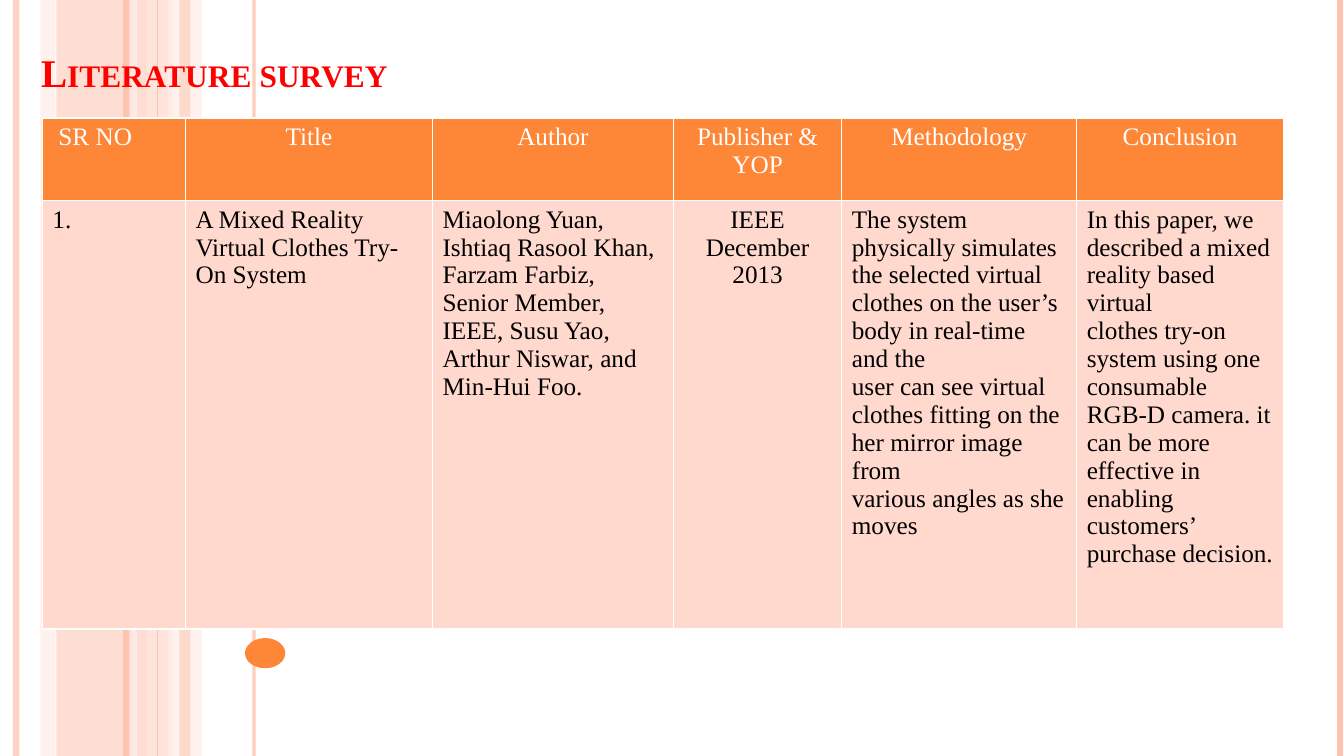
from pptx import Presentation, util as u
from pptx.dml.color import RGBColor
from pptx.enum import shapes, text
from pptx.oxml import parse_xml
from pptx.oxml.ns import nsdecls, qn
from pptx.oxml.xmlchemy import OxmlElement

COLORS = {"orange": "FE8637", "peach": "FEC3AE", "pale": "FFD9CE", "faint": "FFEDE8",
          "red": "FF0000", "white": "FFFFFF", "black": "000000"}
FONT = "Times New Roman"
PAGE_WIDTH, PAGE_HEIGHT = 13.33, 7.5

# left, width, colour, opacity in percent
BARS = [(0.56, 0.89, "peach", 54), (0.4, 0.15, "pale", 36), (1.44, 0.27, "pale", 70),
        (1.66, 0.34, "faint", 71)]
TOP_BAR = (1.78, 0.11, "peach", 51)
# x, line width, colour, opacity in percent
STRIPES = [(0.16, 4.5, "peach", 73), (1.33, 4.5, "faint", 83), (1.25, 4.5, "peach", 100),
           (2.52, 2.25, "peach", 82), (1.56, 0.75, "peach", 100), (13.29, 4.5, "peach", 100)]

COLUMN_WIDTHS = [1.42, 2.45, 2.39, 1.67, 2.33, 2.05]
ROW_HEIGHTS = [0.82, 4.25]
HEADERS = [["SR NO"], ["Title"], ["Author"], ["Publisher &", "YOP"], ["Methodology"],
           ["Conclusion"]]
SURVEY = [
    ["1."],
    ["A Mixed Reality Virtual Clothes Try-On System"],
    ["Miaolong Yuan, Ishtiaq Rasool Khan, Farzam Farbiz, Senior Member, IEEE, Susu Yao, "
     "Arthur Niswar, and", "Min-Hui Foo."],
    ["IEEE", "December 2013"],
    ["The system physically simulates",
     "the selected virtual clothes on the user’s body in real-time and the",
     "user can see virtual clothes fitting on the her mirror image from",
     "various angles as she moves"],
    ["In this paper, we described a mixed reality based virtual",
     "clothes try-on system using one consumable RGB-D camera. it can be more effective in "
     "enabling customers’", "purchase decision."],
]
PUBLISHER = 3


def rgb(name):
    return RGBColor.from_string(COLORS[name])


def set_opacity(shape, percent):
    if percent < 100:
        for color in shape.element.spPr.iter(qn("a:srgbClr")):
            alpha = OxmlElement("a:alpha")
            alpha.set("val", str(percent * 1000))
            color.append(alpha)


def write(frame, paragraphs, size=18, color="black", bold=False, centered=False,
          small_caps=False):
    for index, words in enumerate(paragraphs):
        para = frame.add_paragraph() if index else frame.paragraphs[0]
        para.alignment = text.PP_ALIGN.CENTER if centered else text.PP_ALIGN.LEFT
        span = para.add_run()
        span.text = words
        span.font.name, span.font.size, span.font.bold = FONT, u.Pt(size), bold
        span.font.color.rgb = rgb(color)
        if small_caps:
            span.font._element.set("cap", "small")


def add_filled(page, kind, left, top, width, height, color, opacity=100):
    shape = page.shapes.add_shape(kind, *map(u.Inches, (left, top, width, height)))
    shape.shadow.inherit = False
    shape.fill.solid()
    shape.fill.fore_color.rgb = rgb(color)
    shape.line.fill.background()
    set_opacity(shape, opacity)


def add_bar(page, top, height, left, width, color, opacity):
    add_filled(page, shapes.MSO_SHAPE.RECTANGLE, left, top, width, height, color, opacity)


def add_stripe(page, top, height, x, weight, color, opacity):
    stripe = page.shapes.add_connector(shapes.MSO_CONNECTOR.STRAIGHT, u.Inches(x),
                                       u.Inches(top), u.Inches(x), u.Inches(top + height))
    stripe.line.width = u.Pt(weight)
    stripe.line.color.rgb = rgb(color)
    set_opacity(stripe, opacity)
    stripe.element.spPr.append(OxmlElement("a:effectLst"))


def add_backdrop(page, top, height):
    for bar in BARS:
        add_bar(page, top, height, *bar)
    for stripe in STRIPES:
        add_stripe(page, top, height, *stripe)
    add_bar(page, top, height, *TOP_BAR)
    add_filled(page, shapes.MSO_SHAPE.OVAL, 2.43, top + 6.33, 0.4, 0.3, "orange")


def add_title(page, left, top, width, height):
    box = page.shapes.add_textbox(*map(u.Inches, (left, top, width, height)))
    frame = box.text_frame
    frame.word_wrap = True
    frame.vertical_anchor = text.MSO_ANCHOR.BOTTOM
    write(frame, ["Literature survey"], size=28, color="red", bold=True, small_caps=True)


def style_cell(cell, fill):
    properties = cell._tc.get_or_add_tcPr()
    for side in "LRTB":
        properties.append(parse_xml(
            f'<a:ln{side} {nsdecls("a")} w="12700"><a:solidFill>'
            f'<a:srgbClr val="{COLORS["white"]}"/></a:solidFill></a:ln{side}>'))
    cell.fill.solid()
    cell.fill.fore_color.rgb = rgb(fill)


def add_survey_table(page, left, top):
    size = sum(COLUMN_WIDTHS), sum(ROW_HEIGHTS)
    table = page.shapes.add_table(len(ROW_HEIGHTS), len(COLUMN_WIDTHS),
                                  *map(u.Inches, (left, top, *size))).table
    table.horz_banding = False
    for column, width in zip(table.columns, COLUMN_WIDTHS):
        column.width = u.Inches(width)
    for row, height in zip(table.rows, ROW_HEIGHTS):
        row.height = u.Inches(height)
    for index, (header, entry) in enumerate(zip(HEADERS, SURVEY)):
        head, body = table.cell(0, index), table.cell(1, index)
        style_cell(head, "orange")
        style_cell(body, "pale")
        write(head.text_frame, header, color="white", centered=index > 0)
        write(body.text_frame, entry, centered=index == PUBLISHER)
    table.cell(0, 0).margin_left = u.Inches(0.16)


def main():
    deck = Presentation()
    deck.slide_width, deck.slide_height = u.Inches(PAGE_WIDTH), u.Inches(PAGE_HEIGHT)
    page = deck.slides.add_slide(deck.slide_layouts[6])
    add_backdrop(page, 0, PAGE_HEIGHT)
    add_title(page, 0.31, 0.32, 10.88, 0.68)
    add_survey_table(page, 0.42, 1.17)
    deck.save("out.pptx")


if __name__ == "__main__":
    main()
